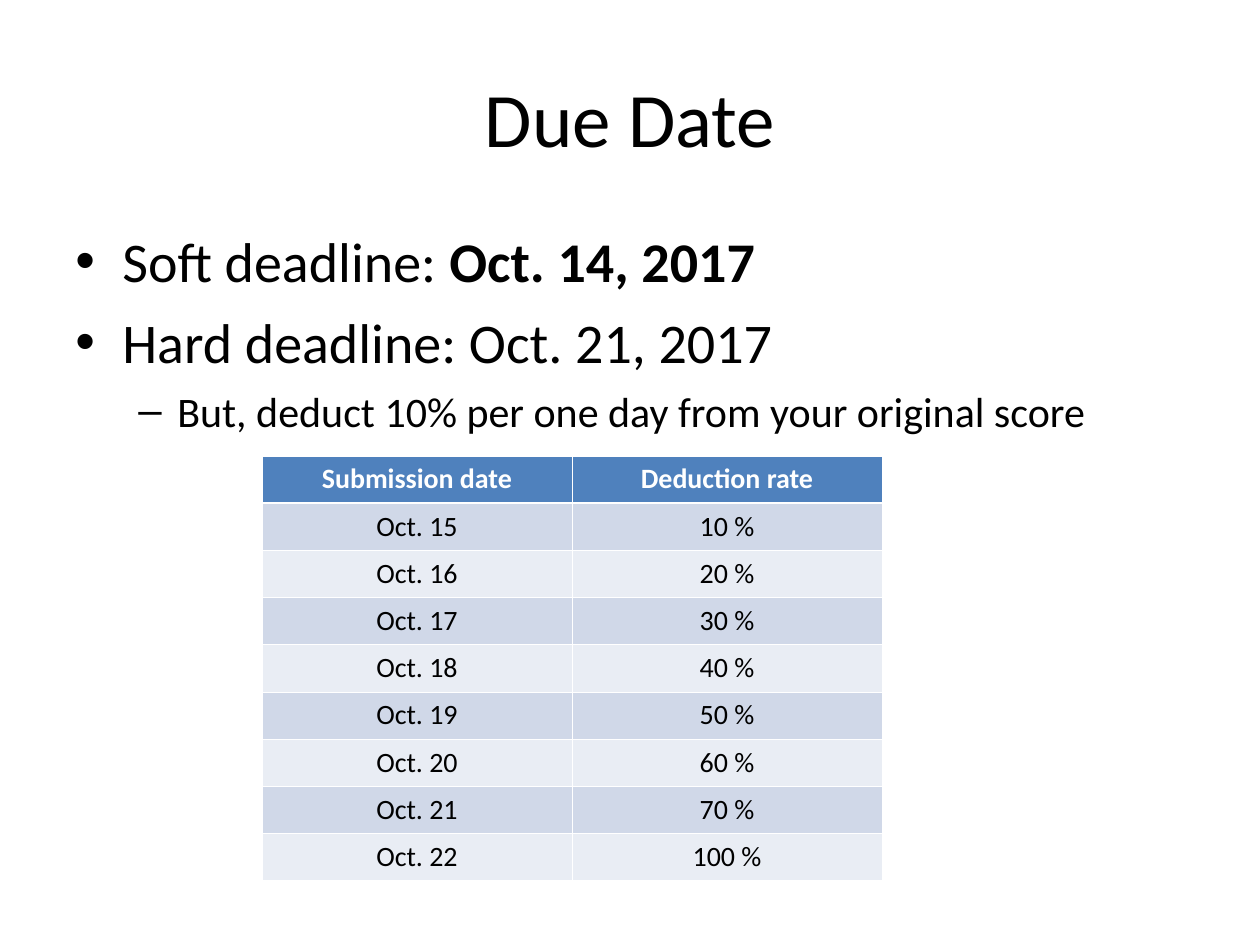
import pptx
import pptx.util
import pptx.dml.color
import pptx.enum.text
import pptx.oxml.ns
from lxml import etree

EMU_PER_PX = 914400 / 126
COLORS = {"text": "000000", "white": "FFFFFF", "header": "4F81BD",
          "band_dark": "D0D8E8", "band_light": "E9EDF4"}
CENTER = pptx.enum.text.PP_ALIGN.CENTER
MIDDLE = pptx.enum.text.MSO_ANCHOR.MIDDLE


def px(length):
    return pptx.util.Emu(round(length * EMU_PER_PX))


def rgb(name):
    return pptx.dml.color.RGBColor.from_string(COLORS[name])


def add_xml(parent, tag, **attributes):
    return etree.SubElement(parent, pptx.oxml.ns.qn(tag), attributes)


class SlideBuilder:
    font = "Calibri"

    def __init__(self, slide):
        self.slide = slide

    def run(self, paragraph, text, size, color="text", bold=False):
        run = paragraph.add_run()
        run.text = text
        run.font.name = self.font
        run.font.size = pptx.util.Pt(size)
        run.font.bold = bold
        run.font.color.rgb = rgb(color)

    def text_box(self, left, top, width, height):
        box = self.slide.shapes.add_textbox(px(left), px(top), px(width), px(height))
        box.text_frame.word_wrap = True
        return box.text_frame

    def title(self, text, *area):
        frame = self.text_box(*area)
        frame.vertical_anchor = MIDDLE
        frame.paragraphs[0].alignment = CENTER
        self.run(frame.paragraphs[0], text, 44)

    def bullets(self, items, levels, *area):
        frame = self.text_box(*area)
        for index, (level, runs) in enumerate(items):
            mark, size, space, margin, hanging = levels[level]
            paragraph = frame.add_paragraph() if index else frame.paragraphs[0]
            paragraph.level = level
            paragraph.space_before = pptx.util.Pt(space)
            properties = paragraph._p.get_or_add_pPr()
            properties.set("marL", str(px(margin)))
            properties.set("indent", str(-px(hanging)))
            add_xml(properties, "a:buFont", typeface="Arial")
            add_xml(properties, "a:buChar", char=mark)
            for text, bold in runs:
                self.run(paragraph, text, size, bold=bold)

    def borders(self, cell, **widths):
        properties = cell._tc.get_or_add_tcPr()
        for side in ("L", "R", "T", "B"):
            width = pptx.util.Pt(widths.get(side, 0.45))
            line = add_xml(properties, f"a:ln{side}", w=str(width))
            fill = add_xml(line, "a:solidFill")
            add_xml(fill, "a:srgbClr", val=COLORS["white"])

    def table(self, rows, left, top, width, height):
        frame = self.slide.shapes.add_table(len(rows), len(rows[0]), px(left),
                                            px(top), px(width), px(height))
        for row, values in enumerate(rows):
            header = row == 0
            fill = "header" if header else "band_dark" if row % 2 else "band_light"
            # A heavier rule parts the header from the body
            heavy = {0: {"B": 1.47}, 1: {"T": 1.47}}.get(row, {})
            for column, text in enumerate(values):
                cell = frame.table.cell(row, column)
                self.borders(cell, **heavy)
                cell.fill.solid()
                cell.fill.fore_color.rgb = rgb(fill)
                paragraph = cell.text_frame.paragraphs[0]
                paragraph.alignment = CENTER
                self.run(paragraph, text, 16, "white" if header else "text", header)


def main():
    deck = pptx.Presentation()
    deck.slide_width, deck.slide_height = px(1260), px(945)
    builder = SlideBuilder(deck.slides.add_slide(deck.slide_layouts[6]))

    # Title
    builder.title("Due Date", 63, 38, 1134, 157)

    # Deadlines: mark, size, space before, margin and hanging indent per level
    levels = [("•", 32, 8, 47, 47), ("–", 24, 6, 102, 39)]
    deadlines = [
        (0, [("Soft deadline: ", False), ("Oct. 14, 2017", True)]),
        (0, [("Hard deadline: Oct. 21, 2017", False)]),
        (1, [("But, deduct 10% per one day from your original score", False)]),
    ]
    builder.bullets(deadlines, levels, 63, 220, 1134, 624)

    # Deduction table
    rates = [10, 20, 30, 40, 50, 60, 70, 100]
    rows = [("Submission date", "Deduction rate")]
    rows += [(f"Oct. {day}", f"{rate} %") for day, rate in enumerate(rates, 15)]
    builder.table(rows, 262, 456, 620, 425)

    deck.save("out.pptx")


if __name__ == "__main__":
    main()
